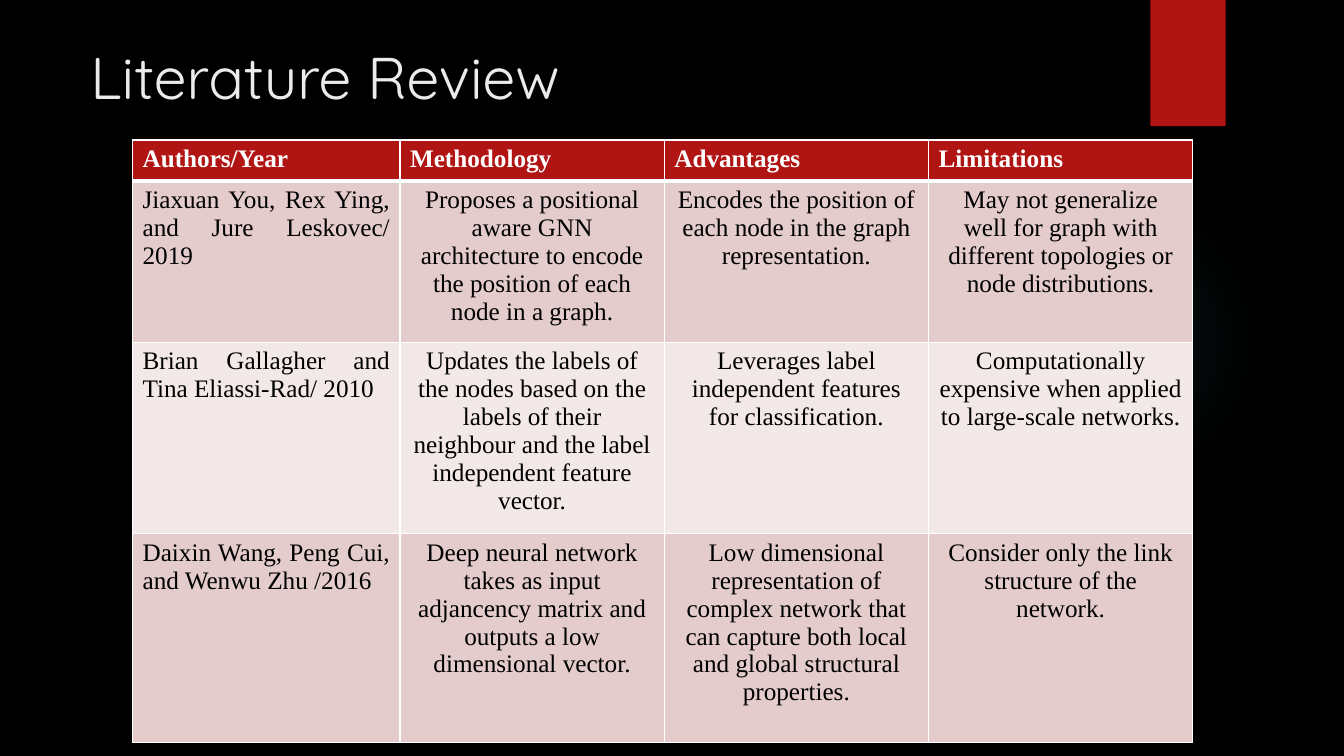
"""Build a dark literature review slide with a comparison table."""
from dataclasses import dataclass

from pptx import Presentation
from pptx.dml.color import RGBColor
from pptx.enum.shapes import MSO_SHAPE
from pptx.enum.text import MSO_ANCHOR, PP_ALIGN
from pptx.oxml import parse_xml
from pptx.oxml.ns import nsdecls
from pptx.util import Cm, Pt

RECT, OVAL = MSO_SHAPE.RECTANGLE, MSO_SHAPE.OVAL
TOP = MSO_ANCHOR.TOP
LEFT, CENTER, JUSTIFY = PP_ALIGN.LEFT, PP_ALIGN.CENTER, PP_ALIGN.JUSTIFY


@dataclass(frozen=True)
class Theme:
    background: str = "000000"
    accent: str = "B01513"
    glow: str = "50B9C1"
    title: str = "EBEBEB"
    header_text: str = "FFFFFF"
    body_text: str = "000000"
    border: str = "FFFFFF"
    bands: tuple = ("F2E8E7", "E4CCCC")
    title_font: str = "Quicksand"
    table_font: str = "Times New Roman"
    title_size: int = 42
    table_size: int = 18


theme = Theme()


def write_text(tf, text, *, font, size, color, bold=False, align=LEFT):
    tf.word_wrap = True
    tf.vertical_anchor = TOP
    p = tf.paragraphs[0]
    p.alignment = align
    r = p.add_run()
    r.text = text
    r.font.name = font
    r.font.size = Pt(size)
    r.font.bold = bold
    r.font.color.rgb = RGBColor.from_string(color)


def set_borders(cell, widths):
    tc_pr = cell._tc.get_or_add_tcPr()
    for i, (side, width) in enumerate(widths.items()):
        tc_pr.insert(i, parse_xml(
            f'<a:ln{side} {nsdecls("a")} w="{Pt(width)}"><a:solidFill>'
            f'<a:srgbClr val="{theme.border}"/></a:solidFill></a:ln{side}>'))


prs = Presentation()
prs.slide_width, prs.slide_height = Cm(33.87), Cm(19.05)
s = prs.slides.add_slide(prs.slide_layouts[6])
s.background.fill.solid()
s.background.fill.fore_color.rgb = RGBColor.from_string(theme.background)

glow = s.shapes.add_shape(OVAL, Cm(23.9), Cm(4.65), Cm(7.82), Cm(7.82))
glow.shadow.inherit = False
glow.line.fill.background()
stops = "".join(
    f'<a:gs pos="{pos * 1000}"><a:srgbClr val="{theme.glow}">'
    f'<a:alpha val="{alpha * 1000}"/></a:srgbClr></a:gs>'
    for pos, alpha in ((0, 7), (36, 6), (69, 0)))
glow._element.spPr.insert(2, parse_xml(
    f'<a:gradFill {nsdecls("a")}><a:gsLst>{stops}</a:gsLst><a:path path="circle">'
    '<a:fillToRect l="50000" t="50000" r="50000" b="50000"/></a:path></a:gradFill>'))

ribbon = s.shapes.add_shape(RECT, Cm(28.99), Cm(0), Cm(1.9), Cm(3.18))
ribbon.shadow.inherit = False
ribbon.line.fill.background()
ribbon.fill.solid()
ribbon.fill.fore_color.rgb = RGBColor.from_string(theme.accent)

title = s.shapes.add_textbox(Cm(2.03), Cm(0.89), Cm(14.91), Cm(3.63))
write_text(title.text_frame, "Literature Review", font=theme.title_font,
           size=theme.title_size, color=theme.title)

reviews = [
    ("Authors/Year", "Methodology", "Advantages", "Limitations"),
    ("Jiaxuan You, Rex Ying, and Jure Leskovec/ 2019",
     "Proposes a positional aware GNN architecture to encode the position of each node in a graph.",
     "Encodes the position of each node in the graph representation.",
     "May not generalize well for graph with different topologies or node distributions."),
    ("Brian Gallagher and Tina Eliassi-Rad/ 2010",
     "Updates the labels of the nodes based on the labels of their neighbour "
     "and the label independent feature vector.",
     "Leverages label independent features for classification.",
     "Computationally expensive when applied to large-scale networks."),
    ("Daixin Wang, Peng Cui, and Wenwu Zhu /2016",
     "Deep neural network takes as input adjancency matrix and outputs a low dimensional vector.",
     "Low dimensional representation of complex network that can capture "
     "both local and global structural properties.",
     "Consider only the link structure of the network."),
]
col_widths = (6.74, 6.66, 6.66, 6.66)
row_heights = (1.03, 3.78, 4.48, 5.26)

table = s.shapes.add_table(len(row_heights), len(col_widths), Cm(3.34), Cm(3.53),
                           Cm(sum(col_widths)), Cm(sum(row_heights))).table
for column, width in zip(table.columns, col_widths):
    column.width = Cm(width)
for i, (review, height) in enumerate(zip(reviews, row_heights)):
    table.rows[i].height = Cm(height)
    header = i == 0
    fill = theme.accent if header else theme.bands[i % 2]
    for j, text in enumerate(review):
        cell = table.cell(i, j)
        cell.fill.solid()
        cell.fill.fore_color.rgb = RGBColor.from_string(fill)
        set_borders(cell, {"L": 1, "R": 1, "T": 3 if i == 1 else 1, "B": 3 if header else 1})
        write_text(cell.text_frame, text, font=theme.table_font, size=theme.table_size,
                   color=theme.header_text if header else theme.body_text,
                   bold=header, align=JUSTIFY if header or j == 0 else CENTER)

prs.save("out.pptx")
